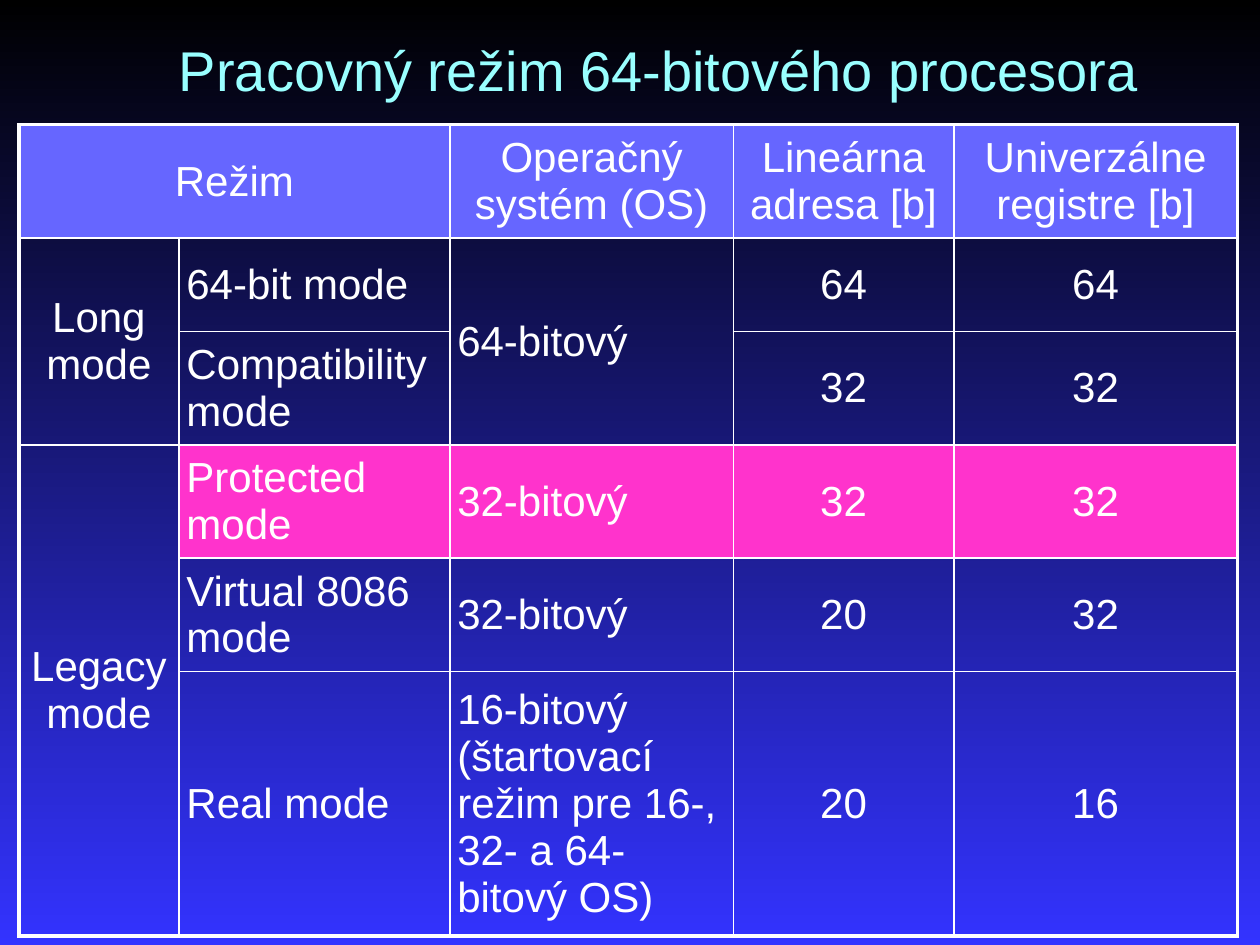
from dataclasses import dataclass

from lxml import etree
from pptx import Presentation
from pptx.dml.color import RGBColor
from pptx.enum.text import MSO_ANCHOR, PP_ALIGN
from pptx.oxml.ns import qn
from pptx.util import Inches, Pt

MIDDLE = MSO_ANCHOR.MIDDLE
LEFT, CENTER = PP_ALIGN.LEFT, PP_ALIGN.CENTER


@dataclass(frozen=True)
class Theme:
    font: str = "Arial"
    top: str = "000000"
    bottom: str = "3333FF"
    title: str = "99FFFF"
    text: str = "FFFFFF"
    header: str = "6666FF"
    highlight: str = "FF33CC"
    title_size: int = 32
    table_size: int = 24
    inner_line: float = 1
    outer_line: float = 2.25


THEME = Theme()
COLUMN_WIDTHS = [1.27, 2.15, 2.25, 1.75, 2.25]
ROW_HEIGHTS = [0.9, 0.74, 0.9, 0.9, 0.9, 2.1]
ROWS = [
    ["Režim", "", "Operačný systém (OS)", "Lineárna adresa [b]", "Univerzálne registre [b]"],
    ["Long mode", "64-bit mode", "64-bitový", "64", "64"],
    ["", "Compatibility mode", "", "32", "32"],
    ["Legacy mode", "Protected mode", "32-bitový", "32", "32"],
    ["", "Virtual 8086 mode", "32-bitový", "20", "32"],
    ["", "Real mode", "16-bitový (štartovací režim pre 16-, 32- a 64-bitový OS)", "20", "16"],
]
MERGES = [((0, 0), (0, 1)), ((1, 0), (2, 0)), ((1, 2), (2, 2)), ((3, 0), (5, 0))]
HIGHLIGHT_ROW = 3
LEFT_COLUMNS = (1, 2)


def style_text(para, size, color, align):
    para.alignment = align
    for span in para.runs:
        span.font.name = THEME.font
        span.font.size = Pt(size)
        span.font.color.rgb = RGBColor.from_string(color)


def set_borders(cell, outer_sides):
    properties = cell._tc.get_or_add_tcPr()
    for index, (side, outer) in enumerate(outer_sides.items()):
        width = THEME.outer_line if outer else THEME.inner_line
        line = etree.Element(qn(f"a:ln{side}"), w=str(Pt(width)))
        fill = etree.SubElement(line, qn("a:solidFill"))
        etree.SubElement(fill, qn("a:srgbClr"), val=THEME.text)
        properties.insert(index, line)


def fill_cell(cell, row, column):
    if row == 0:
        color = THEME.header
    elif row == HIGHLIGHT_ROW and column > 0:
        color = THEME.highlight
    else:
        color = None
    if color:
        cell.fill.solid()
        cell.fill.fore_color.rgb = RGBColor.from_string(color)
    else:
        cell.fill.background()


def add_mode_table(page, left, top):
    width, height = Inches(sum(COLUMN_WIDTHS)), Inches(sum(ROW_HEIGHTS))
    table = page.shapes.add_table(
        len(ROWS), len(COLUMN_WIDTHS), left, top, width, height
    ).table
    table.first_row = table.horz_banding = False
    for column, size in zip(table.columns, COLUMN_WIDTHS):
        column.width = Inches(size)
    for row, size in zip(table.rows, ROW_HEIGHTS):
        row.height = Inches(size)
    for start, end in MERGES:
        table.cell(*start).merge(table.cell(*end))
    last_row, last_column = len(ROWS) - 1, len(COLUMN_WIDTHS) - 1
    for row, texts in enumerate(ROWS):
        for column, text in enumerate(texts):
            cell = table.cell(row, column)
            cell.text_frame.text = text
            cell.vertical_anchor = MIDDLE
            cell.margin_left = cell.margin_right = Inches(0.06)
            cell.margin_top = cell.margin_bottom = Inches(0.05)
            align = LEFT if row > 0 and column in LEFT_COLUMNS else CENTER
            style_text(cell.text_frame.paragraphs[0], THEME.table_size, THEME.text, align)
            fill_cell(cell, row, column)
            bottom = row + cell.span_height - 1 if cell.is_merge_origin else row
            set_borders(cell, {
                "L": column == 0,
                "R": column == last_column,
                "T": row == 0,
                "B": bottom == last_row,
            })


def add_title(page, left, top, width, height):
    box = page.shapes.add_textbox(left, top, width, height)
    box.text_frame.word_wrap = True
    box.text_frame.text = "Pracovný režim 64-bitového procesora"
    style_text(box.text_frame.paragraphs[0], THEME.title_size, THEME.title, CENTER)


def paint_background(page):
    fill = page.background.fill
    fill.gradient()
    fill.gradient_angle = 270
    for stop, color, position in zip(fill.gradient_stops, (THEME.top, THEME.bottom), (0, 1)):
        stop.color.rgb = RGBColor.from_string(color)
        stop.position = position


def main():
    deck = Presentation()
    deck.slide_width, deck.slide_height = Inches(10), Inches(7.5)
    page = deck.slides.add_slide(deck.slide_layouts[6])
    paint_background(page)
    add_mode_table(page, Inches(0.15), Inches(0.99))
    add_title(page, Inches(0.98), Inches(0.23), Inches(8.5), Inches(0.58))
    deck.save("out.pptx")


if __name__ == "__main__":
    main()
